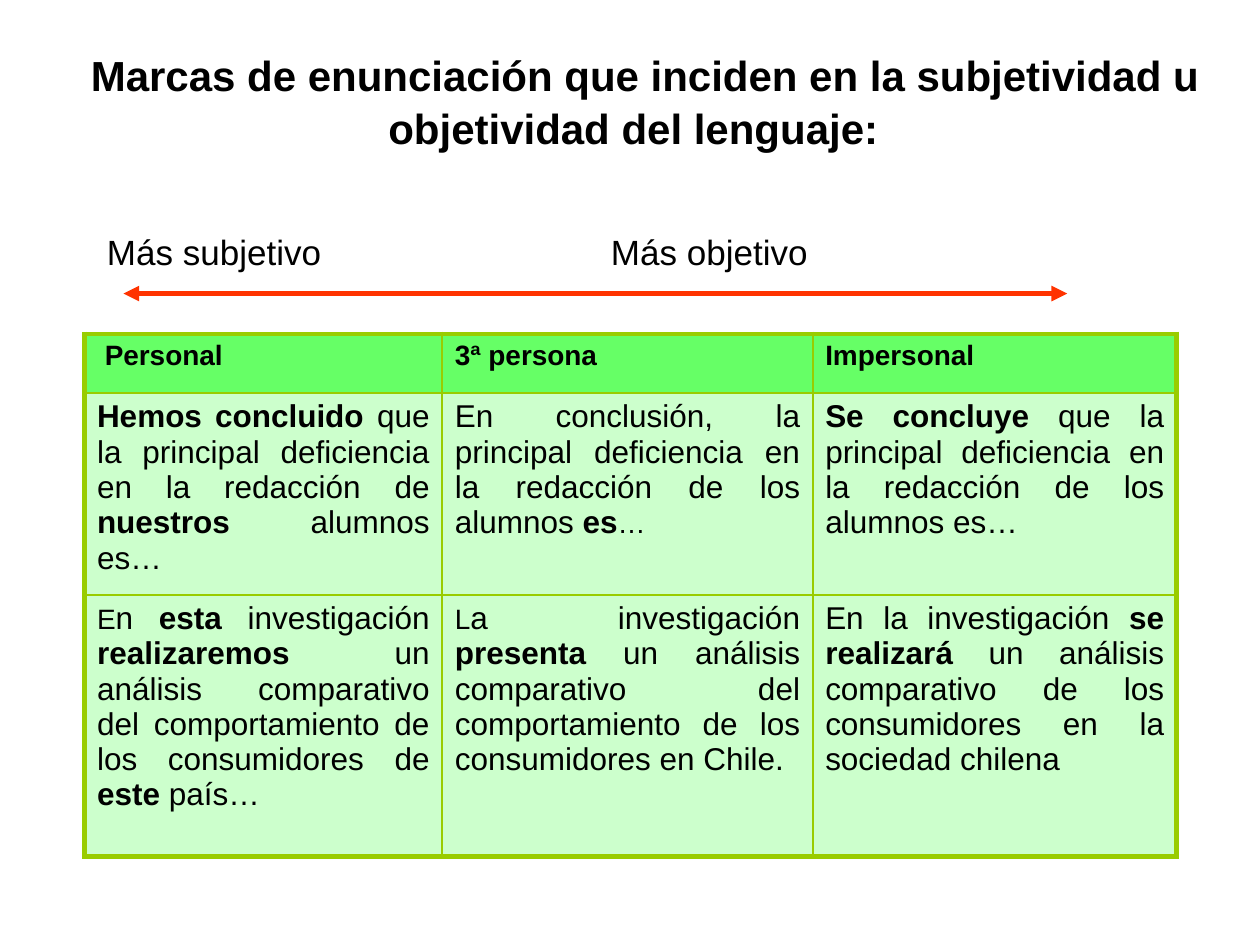
import pptx
import pptx.dml.color
import pptx.enum.shapes
import pptx.enum.text
import pptx.oxml.ns
import pptx.util
from lxml import etree

Inches, Pt = pptx.util.Inches, pptx.util.Pt
ALIGN = pptx.enum.text.PP_ALIGN
FONT, BLACK = "Arial", "000000"
HEADER_FILL, BODY_FILL, BORDER, ARROW = "66FF66", "CCFFCC", "99CC00", "FF3300"
THICK, THIN = 3, 1.5
COLUMNS, ROWS = (2.84, 2.94, 2.89), (0.47, 1.5, 2.08)

# *bold*, ~small~
CELLS = (
    ("* Personal*", "*3ª persona*", "*Impersonal*"),
    ("*Hemos concluido *que la principal deficiencia en la redacción de *nuestros* alumnos es…",
     "En conclusión, la principal deficiencia en la redacción de los alumnos *es*~…~",
     "*Se concluye *que la principal deficiencia en la redacción de los alumnos es…"),
    ("~E~n *esta* investigación *realizaremos* un análisis comparativo del comportamiento "
     "de los consumidores de *este* país…",
     "~L~a investigación *presenta* un análisis comparativo del comportamiento "
     "de los consumidores en Chile.",
     "En la investigación *se realizará* un análisis comparativo de los consumidores "
     "en la sociedad chilena"),
)


def rgb(color):
    return pptx.dml.color.RGBColor.from_string(color)


def write(tf, text, size, align=ALIGN.LEFT, spacing=None):
    """Fill a text frame, turning *bold* and ~small~ marks into runs."""
    tf.word_wrap = True
    p = tf.paragraphs[0]
    p.alignment = align
    p.line_spacing = spacing
    for i, part in enumerate(text.split("*")):
        for j, piece in enumerate(part.split("~")):
            if piece:
                r = p.add_run()
                r.text = piece
                r.font.name = FONT
                r.font.size = Pt(16 if j % 2 else size)
                r.font.bold = i % 2 == 1
                r.font.color.rgb = rgb(BLACK)


def add_title(slide, left, top, width, height):
    tf = slide.shapes.add_textbox(*map(Inches, (left, top, width, height))).text_frame
    tf.margin_left = tf.margin_right = Inches(0.08)
    tf.margin_top = Inches(0.06)
    write(tf, "*Marcas de enunciación que inciden en la subjetividad u objetividad del lenguaje:  *",
          24, ALIGN.CENTER, 1.06)


def add_scale(slide, left, top, width, height):
    """Place both end labels and the double arrow below them."""
    sp = slide.shapes.add_textbox(*map(Inches, (left, top, width, height)))
    write(sp.text_frame, "Más subjetivo\t\t\t\t\tMás objetivo", 20, ALIGN.JUSTIFY)
    y = Inches(top + height + 0.12)
    line = slide.shapes.add_connector(pptx.enum.shapes.MSO_CONNECTOR.STRAIGHT,
                                      Inches(left + 0.23), y, Inches(left + width - 0.63), y)
    line.line.color.rgb = rgb(ARROW)
    line.line.width = Pt(3)
    ln = line.line._get_or_add_ln()
    for end in ("a:headEnd", "a:tailEnd"):
        etree.SubElement(ln, pptx.oxml.ns.qn(end), type="triangle")
    etree.SubElement(line._element.spPr, pptx.oxml.ns.qn("a:effectLst"))


def set_borders(cell, widths):
    tcPr = cell._tc.get_or_add_tcPr()
    for side, width in widths.items():
        ln = etree.SubElement(tcPr, pptx.oxml.ns.qn("a:ln" + side), w=str(Pt(width)))
        fill = etree.SubElement(ln, pptx.oxml.ns.qn("a:solidFill"))
        etree.SubElement(fill, pptx.oxml.ns.qn("a:srgbClr"), val=BORDER)


def add_comparison(slide, left, top):
    table = slide.shapes.add_table(len(ROWS), len(COLUMNS), Inches(left), Inches(top),
                                   Inches(sum(COLUMNS)), Inches(sum(ROWS))).table
    for column, width in zip(table.columns, COLUMNS):
        column.width = Inches(width)
    last_row, last_column = len(ROWS) - 1, len(COLUMNS) - 1
    for i, texts in enumerate(CELLS):
        table.rows[i].height = Inches(ROWS[i])
        for j, text in enumerate(texts):
            cell = table.cell(i, j)
            outer = {"L": j == 0, "R": j == last_column, "T": i == 0, "B": i == last_row}
            set_borders(cell, {side: THICK if edge else THIN for side, edge in outer.items()})
            cell.fill.solid()
            cell.fill.fore_color.rgb = rgb(BODY_FILL if i else HEADER_FILL)
            write(cell.text_frame, text, 18 if i else 16, ALIGN.JUSTIFY if i else ALIGN.LEFT)


def main():
    prs = pptx.Presentation()
    prs.slide_width, prs.slide_height = Inches(10), Inches(7.5)
    slide = prs.slides.add_slide(prs.slide_layouts[6])
    add_title(slide, 0.62, 0.31, 9, 1.25)
    add_comparison(slide, 0.67, 2.65)
    add_scale(slide, 0.75, 1.78, 8.35, 0.43)
    prs.save("out.pptx")


if __name__ == "__main__":
    main()
